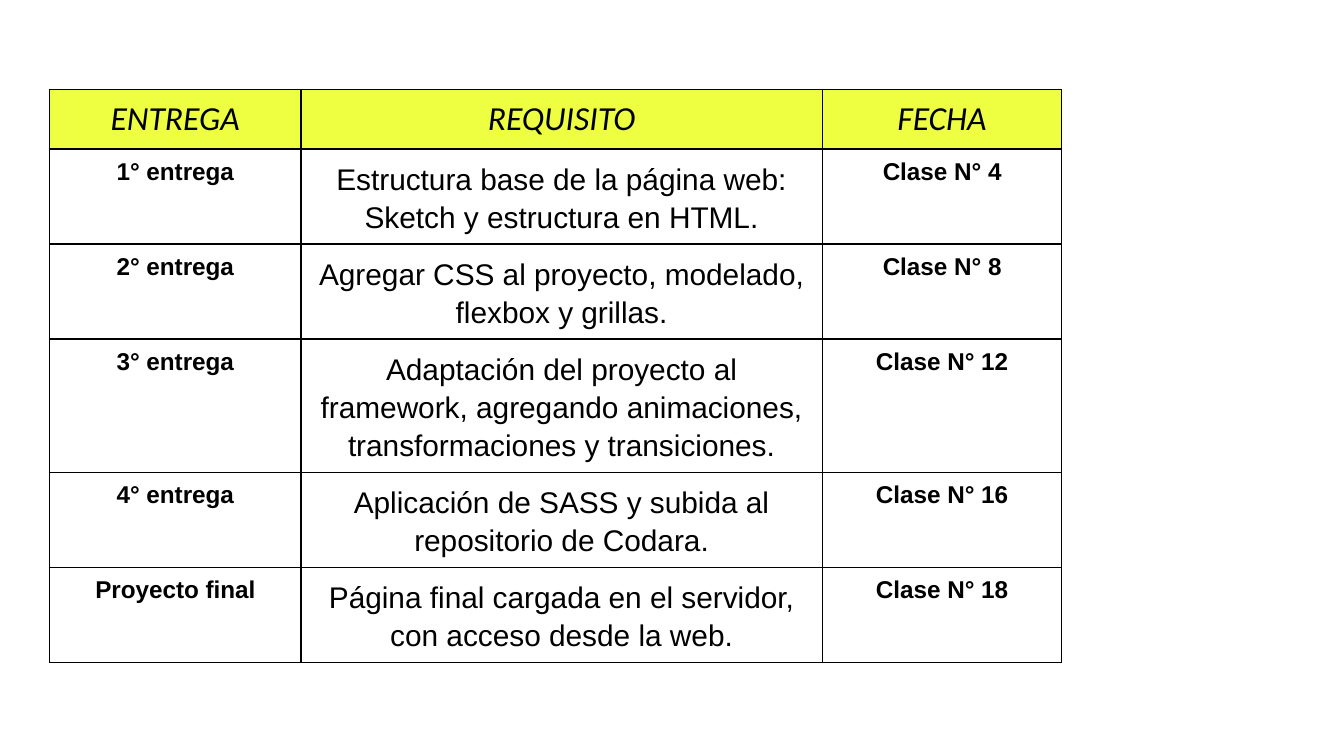
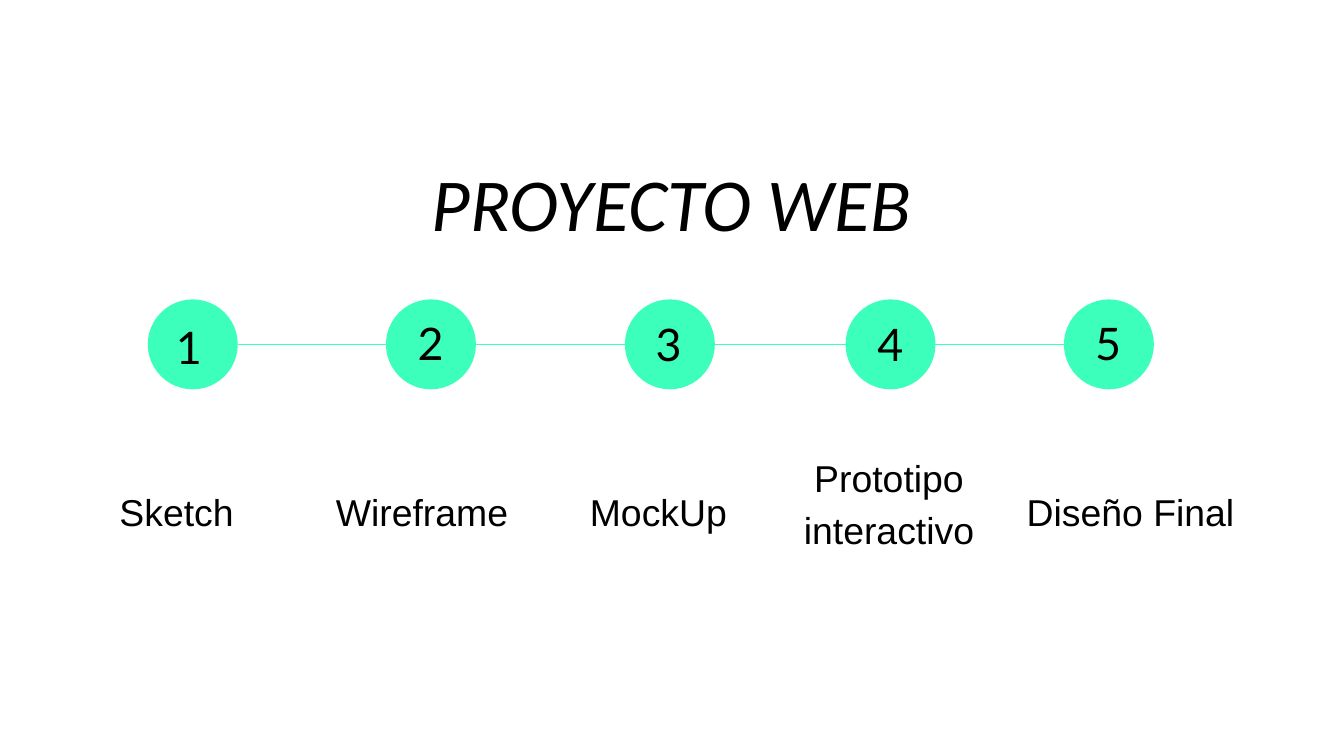
"""Builds two slides: the delivery schedule table and the web project timeline."""
import lxml.etree
import pptx
import pptx.dml.color
import pptx.enum.shapes
import pptx.enum.text
import pptx.oxml
import pptx.oxml.ns
import pptx.util

Pt = pptx.util.Pt
RGB = pptx.dml.color.RGBColor.from_string
ALIGN = pptx.enum.text.PP_ALIGN
ANCHOR = pptx.enum.text.MSO_ANCHOR
COLORS = {"black": "000000", "yellow": "EEFF41", "green": "3DFFBC"}


def write(tf, text, size=20, font="Arial", bold=False, italic=False,
          align=ALIGN.LEFT, spacing=1.0, after=0, anchor=ANCHOR.TOP, inset=7.2):
    tf.word_wrap = True
    tf.vertical_anchor = anchor
    tf.margin_left = tf.margin_right = tf.margin_top = tf.margin_bottom = Pt(inset)
    p = tf.paragraphs[0]
    p.alignment = align
    p.line_spacing = spacing
    p.space_after = Pt(after)
    r = p.add_run()
    r.text = text
    r.font.size = Pt(size)
    r.font.name = font
    r.font.bold = bold
    r.font.italic = italic
    r.font.color.rgb = RGB(COLORS["black"])


def add_borders(cell):
    tcPr = cell._tc.get_or_add_tcPr()
    for side in ("lnL", "lnR", "lnT", "lnB"):
        tcPr.append(pptx.oxml.parse_xml(
            f'<a:{side} {pptx.oxml.ns.nsdecls("a")} w="12700"><a:solidFill>'
            f'<a:srgbClr val="{COLORS["black"]}"/></a:solidFill></a:{side}>'))


prs = pptx.Presentation()
prs.slide_width, prs.slide_height = Pt(720), Pt(405)
blank = prs.slide_layouts[6]

s = prs.slides.add_slide(blank)
rows = [
    ("ENTREGA", "REQUISITO", "FECHA"),
    ("1° entrega", "Estructura base de la página web: Sketch y estructura en HTML.", "Clase N° 4"),
    ("2° entrega", "Agregar CSS al proyecto, modelado, flexbox y grillas.", "Clase N° 8"),
    ("3° entrega", "Adaptación del proyecto al framework, agregando animaciones, "
                   "transformaciones y transiciones.", "Clase N° 12"),
    ("4° entrega", "Aplicación de SASS y subida al repositorio de Codara.", "Clase N° 16"),
    ("Proyecto final", "Página final cargada en el servidor, con acceso desde la web.", "Clase N° 18"),
]
widths = [134.6, 279.4, 128.2]
heights = [31.6, 50.9, 50.9, 71.2, 50.9, 50.9]
table = s.shapes.add_table(len(rows), len(widths), Pt(26.6), Pt(48),
                           Pt(sum(widths)), Pt(sum(heights))).table
table.first_row = table.horz_banding = False
for column, width in zip(table.columns, widths):
    column.width = Pt(width)
header = dict(size=18, font="Calibri", italic=True)
label = dict(size=13, bold=True)
requirement = dict(size=16, spacing=1.15)
for i, texts in enumerate(rows):
    table.rows[i].height = Pt(heights[i])
    for j, text in enumerate(texts):
        cell = table.cell(i, j)
        add_borders(cell)
        if i == 0:
            cell.fill.solid()
            cell.fill.fore_color.rgb = RGB(COLORS["yellow"])
            style = header
        else:
            cell.fill.background()
            style = requirement if j == 1 else label
        write(cell.text_frame, text, align=ALIGN.CENTER, inset=0, **style)
        cell.margin_left = cell.margin_right = Pt(5)
        cell.margin_top = cell.margin_bottom = Pt(5)

s = prs.slides.add_slide(blank)
diameter, circle_top = 48.2, 160.4
middle = circle_top + diameter / 2
label_middle = 268

steps = [
    ("Sketch", 79.2, (87.1, 164.2), 56.9, 93.6),
    ("Wireframe", 206.8, (216.7, 162), 172.8, 126),
    ("MockUp", 334.8, (344.2, 162.5), 308.9, 100.1),
    ("Prototipo interactivo", 453, (463, 162.5), 413.3, 126),
    ("Diseño Final", 570, (579.6, 162), 542.9, 139),
]
line = s.shapes.add_connector(pptx.enum.shapes.MSO_CONNECTOR.STRAIGHT,
                              Pt(steps[0][1] + diameter), Pt(middle), Pt(steps[-1][1]), Pt(middle))
line.line.color.rgb = RGB(COLORS["green"])
line.line.width = Pt(0.75)
lxml.etree.SubElement(line._element.spPr, pptx.oxml.ns.qn("a:effectLst"))

tf = s.shapes.add_textbox(Pt(103), Pt(52.6), Pt(513.4), Pt(77.8)).text_frame
write(tf, "PROYECTO WEB", size=40, font="Calibri", italic=True,
      align=ALIGN.CENTER, spacing=1.5, after=11)

for number, (name, left, (number_left, number_top), name_left, name_width) in enumerate(steps, 1):
    group = s.shapes.add_group_shape()
    sp = group.shapes.add_shape(pptx.enum.shapes.MSO_SHAPE.OVAL,
                                Pt(left), Pt(circle_top), Pt(diameter), Pt(diameter))
    sp.shadow.inherit = False
    sp.fill.solid()
    sp.fill.fore_color.rgb = RGB(COLORS["green"])
    sp.line.fill.background()
    tf = group.shapes.add_textbox(Pt(number_left), Pt(number_top), Pt(21.6), Pt(28.8)).text_frame
    write(tf, str(number), size=24, font="Lato")

    two_lines = name == "Prototipo interactivo"
    height = 70 if two_lines else 60
    tf = s.shapes.add_textbox(Pt(name_left), Pt(label_middle - height / 2),
                              Pt(name_width), Pt(height)).text_frame
    write(tf, name, align=ALIGN.CENTER if two_lines else ALIGN.JUSTIFY,
          spacing=1.15 if two_lines else 1.5, after=11, anchor=ANCHOR.MIDDLE)

prs.save("out.pptx")
